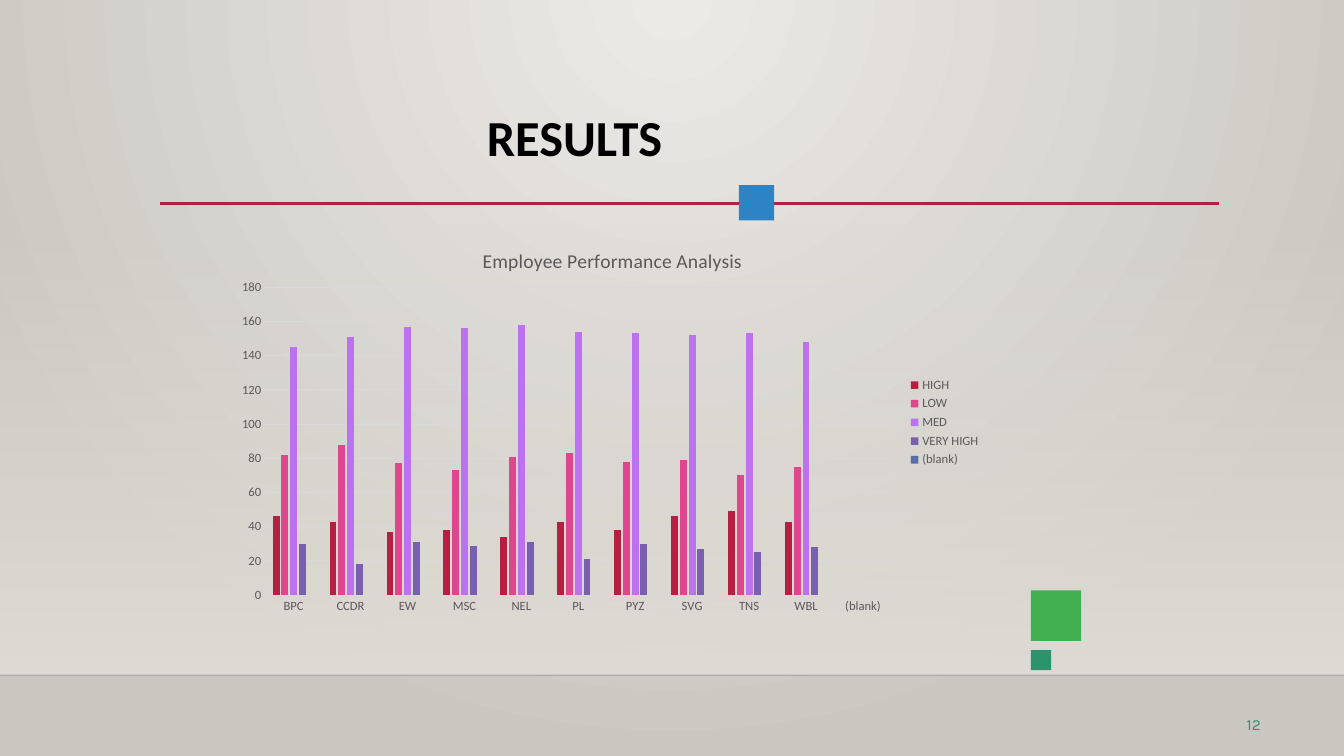
from dataclasses import dataclass

from pptx import Presentation
from pptx.chart.data import CategoryChartData
from pptx.dml.color import RGBColor
from pptx.enum.chart import XL_CHART_TYPE as ChartType, XL_LEGEND_POSITION as LegendPos
from pptx.enum.chart import XL_TICK_MARK as Tick
from pptx.enum.shapes import MSO_CONNECTOR as Connector, MSO_SHAPE as Shape
from pptx.enum.text import MSO_ANCHOR as Anchor, PP_ALIGN as Align
from pptx.oxml import parse_xml
from pptx.oxml.ns import nsdecls, qn
from pptx.util import Cm, Pt


@dataclass(frozen=True)
class Theme:
    font: str = "Calibri"
    number_font: str = "Karla"
    title_pt: float = 36
    chart_title_pt: float = 14
    label_pt: float = 9
    number_pt: float = 11
    ink: str = "000000"
    label: str = "595959"
    grid: str = "D9D9D9"
    bg_light: str = "ECEAE7"
    bg_dark: str = "CAC7C1"
    wall: str = "DFDBD5"
    crimson: str = "B71E42"
    blue: str = "2D83C3"
    green: str = "42AF51"
    teal: str = "2D936B"
    series: tuple = ("B71E42", "DE478E", "BC72F0", "795FAF", "586EA6")


T = Theme()
WIDTH, HEIGHT = 33.87, 19.05
FLOOR = 17.02

DEPARTMENTS = ["BPC", "CCDR", "EW", "MSC", "NEL", "PL", "PYZ", "SVG", "TNS", "WBL", "(blank)"]
RATINGS = {
    "HIGH": [46, 43, 37, 38, 34, 43, 38, 46, 49, 43, None],
    "LOW": [82, 88, 77, 73, 81, 83, 78, 79, 70, 75, None],
    "MED": [145, 151, 157, 156, 158, 154, 153, 152, 153, 148, None],
    "VERY HIGH": [30, 18, 31, 29, 31, 21, 30, 27, 25, 28, None],
    "(blank)": [None] * 11,
}


def rgb(value):
    return RGBColor.from_string(value)


def style_font(font, size, color, name=T.font, bold=False):
    font.name, font.size, font.bold = name, Pt(size), bold
    font.color.rgb = rgb(color)


def gradient(stops, direction):
    """Build a gradient fill from (position %, colour, opacity %) stops."""
    gs = "".join(
        f'<a:gs pos="{pos * 1000}"><a:srgbClr val="{color}">'
        f'<a:alpha val="{alpha * 1000}"/></a:srgbClr></a:gs>'
        for pos, color, alpha in stops)
    return parse_xml(f'<a:gradFill {nsdecls("a")} rotWithShape="1">'
                     f'<a:gsLst>{gs}</a:gsLst>{direction}</a:gradFill>')


def swap_fill(parent, fill):
    solid = parent.find(qn("a:solidFill"))
    parent.replace(solid, fill)


def add_rect(s, box, color):
    sp = s.shapes.add_shape(Shape.RECTANGLE, *map(Cm, box))
    sp.shadow.inherit = False
    sp.fill.solid()
    sp.fill.fore_color.rgb = rgb(color)
    sp.line.fill.background()
    return sp


def add_rule(s, left, right, y, color, width):
    rule = s.shapes.add_connector(Connector.STRAIGHT, Cm(left), Cm(y), Cm(right), Cm(y))
    rule.line.color.rgb = rgb(color)
    rule.line.width = Pt(width)
    rule._element.spPr.append(parse_xml(f'<a:effectLst {nsdecls("a")}/>'))
    return rule


def add_backdrop(s):
    """Radial background, a wall fading in downwards and the floor line."""
    s.background.fill.solid()
    circle = '<a:path path="circle"><a:fillToRect l="43000" r="43000" b="100000"/></a:path>'
    bg = s._element.cSld.find(qn("p:bg"))
    swap_fill(bg.find(qn("p:bgPr")),
              gradient([(0, T.bg_light, 100), (100, T.bg_dark, 100)], circle))

    top = 5.61
    wall = add_rect(s, (0, top, WIDTH, FLOOR - top), T.wall)
    swap_fill(wall._element.spPr,
              gradient([(0, T.wall, 0), (100, T.wall, 100)], '<a:lin ang="5400000" scaled="0"/>'))

    floor = add_rule(s, 0, WIDTH, FLOOR, T.ink, 1)
    color = floor._element.spPr.find(".//" + qn("a:srgbClr"))
    color.append(parse_xml(f'<a:alpha {nsdecls("a")} val="20000"/>'))


def add_heading(s, box):
    """Title above a crimson rule that carries a blue square."""
    x, y, w, h = box
    rule_y, side = y + 2.49, 0.89
    add_rule(s, x - 6.55, x + 20.14, rule_y, T.crimson, 2.5)
    add_rect(s, (x + 8.03, rule_y - side / 2 - 0.02, side, side), T.blue)

    title = s.shapes.title
    title.left, title.top, title.width, title.height = map(Cm, box)
    tf = title.text_frame
    tf.margin_left, tf.margin_top = Cm(1.68), Cm(0.03)
    tf.margin_right = tf.margin_bottom = 0
    tf.vertical_anchor = Anchor.TOP
    p = tf.paragraphs[0]
    p.alignment = Align.LEFT
    r = p.add_run()
    r.text = "RESULTS"
    style_font(r.font, T.title_pt, T.ink, bold=True)


def add_corner_squares(s, x, y):
    big, small, gap = 1.27, 0.51, 0.23
    add_rect(s, (x, y, big, big), T.green)
    add_rect(s, (x, y + big + gap, small, small), T.teal)


def set_layout(element, index, target="", **fractions):
    """Pin a chart part to fractions of the chart's size."""
    for old in element.findall(qn("c:layout")):
        element.remove(old)
    inner = f'<c:layoutTarget val="{target}"/>' if target else ""
    inner += '<c:xMode val="edge"/><c:yMode val="edge"/>'
    inner += "".join(f'<c:{key} val="{value}"/>' for key, value in fractions.items())
    element.insert(index, parse_xml(
        f'<c:layout {nsdecls("c")}><c:manualLayout>{inner}</c:manualLayout></c:layout>'))


def clear_fill():
    return parse_xml(f'<c:spPr {nsdecls("c", "a")}><a:noFill/><a:ln><a:noFill/></a:ln></c:spPr>')


def add_performance_chart(s, box):
    data = CategoryChartData()
    data.categories = DEPARTMENTS
    for name, values in RATINGS.items():
        data.add_series(name, values)
    chart = s.shapes.add_chart(ChartType.COLUMN_CLUSTERED, *map(Cm, box), data).chart
    style_font(chart.font, T.label_pt, T.label)

    chart.has_title = True
    r = chart.chart_title.text_frame.paragraphs[0].add_run()
    r.text = "Employee Performance Analysis"
    style_font(r.font, T.chart_title_pt, T.label)
    set_layout(chart.chart_title._element, 1, x=0.33, y=0.05)

    chart.has_legend = True
    chart.legend.position = LegendPos.RIGHT
    chart.legend.include_in_layout = False
    style_font(chart.legend.font, T.label_pt, T.label)

    plot = chart.plots[0]
    plot.gap_width, plot.overlap, plot.vary_by_categories = 219, -27, False
    for series, color in zip(plot.series, T.series):
        series.format.fill.solid()
        series.format.fill.fore_color.rgb = rgb(color)

    cat, val = chart.category_axis, chart.value_axis
    for axis in (cat, val):
        axis.major_tick_mark = axis.minor_tick_mark = Tick.NONE
        style_font(axis.tick_labels.font, T.label_pt, T.label)
    val.minimum_scale, val.maximum_scale, val.major_unit = 0, 180, 20
    val.format.line.fill.background()
    for line in (cat.format.line, val.major_gridlines.format.line):
        line.color.rgb = rgb(T.grid)
        line.width = Pt(0.75)

    chart_el = chart._chartSpace.find(qn("c:chart"))
    plot_area = chart_el.find(qn("c:plotArea"))
    set_layout(plot_area, 0, "inner", x=0.05, y=0.16, w=0.82, h=0.775)
    plot_area.append(clear_fill())
    chart_el.addnext(clear_fill())


def add_page_number(s, box):
    tf = s.shapes.add_textbox(*map(Cm, box)).text_frame
    tf.word_wrap = False
    tf.margin_left, tf.margin_top = Cm(0.1), Cm(0.05)
    tf.margin_right = tf.margin_bottom = 0
    r = tf.paragraphs[0].add_run()
    r.text = "12"
    style_font(r.font, T.number_pt, T.teal, T.number_font)


def main():
    prs = Presentation()
    prs.slide_width, prs.slide_height = Cm(WIDTH), Cm(HEIGHT)
    s = prs.slides.add_slide(prs.slide_layouts[5])
    add_backdrop(s)
    add_heading(s, (10.59, 2.64, 14.83, 1.57))
    add_corner_squares(s, 25.98, 14.88)
    add_performance_chart(s, (5.72, 5.64, 19.25, 10.01))
    add_page_number(s, (31.32, 17.98, 0.64, 0.53))
    prs.save("out.pptx")


if __name__ == "__main__":
    main()
